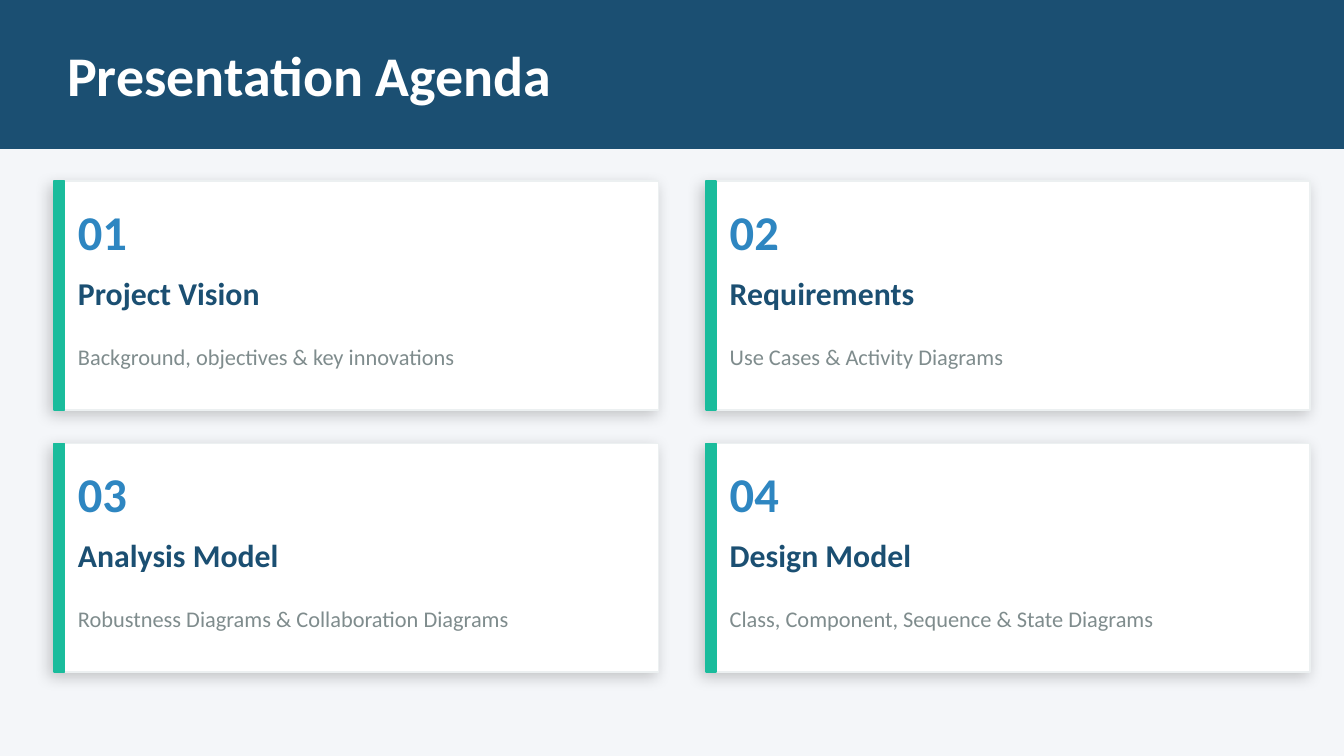
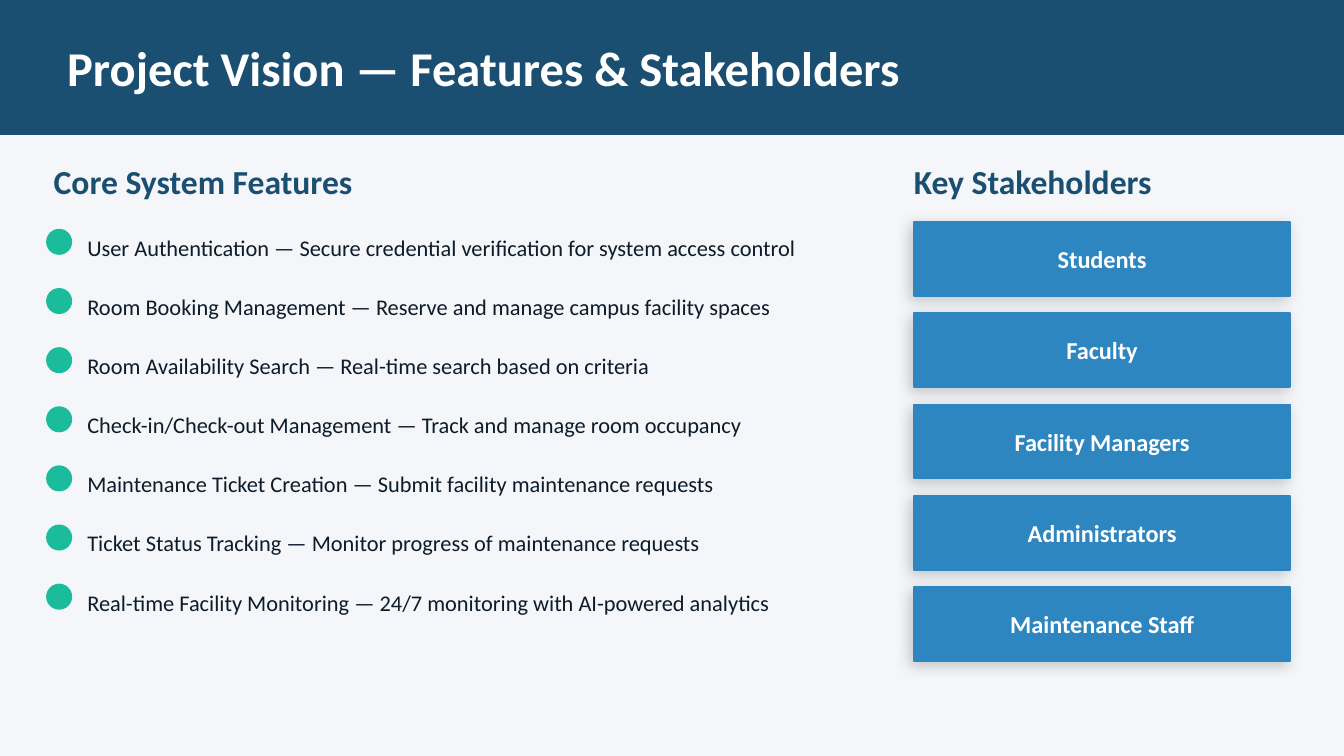
import dataclasses

import lxml.etree
import pptx
import pptx.dml.color
import pptx.enum.shapes
import pptx.enum.text
import pptx.oxml.ns
import pptx.util

SHAPE = pptx.enum.shapes.MSO_SHAPE
ALIGN = pptx.enum.text.PP_ALIGN
PX = 4572  # EMU per px, 200 px to the inch
WIDTH, HEIGHT = 2000, 1125


@dataclasses.dataclass(frozen=True)
class Theme:
    font: str = "Calibri"
    page: str = "F4F6F9"
    navy: str = "1B4F72"
    blue: str = "2E86C1"
    teal: str = "1ABC9C"
    white: str = "FFFFFF"
    edge: str = "ECF0F1"
    ink: str = "0D1B2A"
    grey: str = "7F8C8D"
    title_size: int = 30
    long_title_size: int = 26
    number_size: int = 26
    heading_size: int = 18
    topic_size: int = 17
    label_size: int = 13
    body_size: int = 12


THEME = Theme()

AGENDA = [
    ("Project Vision", "Background, objectives & key innovations"),
    ("Requirements", "Use Cases & Activity Diagrams"),
    ("Analysis Model", "Robustness Diagrams & Collaboration Diagrams"),
    ("Design Model", "Class, Component, Sequence & State Diagrams"),
]
FEATURES = [
    "User Authentication — Secure credential verification for system access control",
    "Room Booking Management — Reserve and manage campus facility spaces",
    "Room Availability Search — Real-time search based on criteria",
    "Check-in/Check-out Management — Track and manage room occupancy",
    "Maintenance Ticket Creation — Submit facility maintenance requests",
    "Ticket Status Tracking — Monitor progress of maintenance requests",
    "Real-time Facility Monitoring — 24/7 monitoring with AI-powered analytics",
]
STAKEHOLDERS = ["Students", "Faculty", "Facility Managers", "Administrators", "Maintenance Staff"]


def rgb(color):
    return pptx.dml.color.RGBColor.from_string(color)


def emu(*lengths):
    return [pptx.util.Emu(n * PX) for n in lengths]


def write(sp, text, size, color, bold=False, align=ALIGN.LEFT):
    """Fill a shape's text frame with one vertically centred paragraph."""
    tf = sp.text_frame
    tf.word_wrap = True
    tf.vertical_anchor = pptx.enum.text.MSO_ANCHOR.MIDDLE
    tf.margin_left = tf.margin_top = tf.margin_right = tf.margin_bottom = 0
    p = tf.paragraphs[0]
    p.alignment = align
    r = p.add_run()
    r.text = text
    r.font.name = THEME.font
    r.font.size = pptx.util.Pt(size)
    r.font.bold = bold
    r.font.color.rgb = rgb(color)


def add_text(s, box, text, **style):
    write(s.shapes.add_textbox(*emu(*box)), text, **style)


def add_block(s, box, fill, line=None, kind=SHAPE.RECTANGLE, shadow=False):
    sp = s.shapes.add_shape(kind, *emu(*box))
    sp.fill.solid()
    sp.fill.fore_color.rgb = rgb(fill)
    sp.line.color.rgb = rgb(line or fill)
    sp.line.width = pptx.util.Pt(1)
    sp.shadow.inherit = False
    if shadow:
        add_shadow(sp)
    return sp


def add_shadow(sp):
    """Soft black shadow falling to the lower left."""
    qn = pptx.oxml.ns.qn
    effects = sp._element.spPr.find(qn("a:effectLst"))
    outer = lxml.etree.SubElement(
        effects, qn("a:outerShdw"), blurRad=str(pptx.util.Pt(8)), dist=str(pptx.util.Pt(3)),
        dir=str(135 * 60000), algn="bl", rotWithShape="0")
    black = lxml.etree.SubElement(outer, qn("a:srgbClr"), val="000000")
    lxml.etree.SubElement(black, qn("a:alpha"), val="20000")


def add_slide(prs, title, band_height, title_size):
    """Blank slide with the page colour, the title band and its title."""
    s = prs.slides.add_slide(prs.slide_layouts[6])
    s.background.fill.solid()
    s.background.fill.fore_color.rgb = rgb(THEME.page)
    add_block(s, (0, 0, WIDTH, band_height), THEME.navy)
    add_text(s, (100, (band_height - 140) // 2, 1800, 140), title,
             size=title_size, color=THEME.white, bold=True)
    return s


def add_agenda_card(s, box, number, topic, detail):
    x, y, w, h = box
    add_block(s, box, THEME.white, line=THEME.edge, shadow=True)
    add_block(s, (x, y, 16, h), THEME.teal)
    left, text_width = x + 36, w - 100
    add_text(s, (left, y + 24, 140, 100), f"{number:02}",
             size=THEME.number_size, color=THEME.blue, bold=True)
    add_text(s, (left, y + 120, text_width, 90), topic,
             size=THEME.topic_size, color=THEME.navy, bold=True)
    add_text(s, (left, y + 220, text_width, 80), detail,
             size=THEME.body_size, color=THEME.grey)


def add_heading(s, box, text):
    add_text(s, box, text, size=THEME.heading_size, color=THEME.navy, bold=True)


def add_features(s, x, y, w, pitch=88):
    add_heading(s, (x, y, 1800, 80), "Core System Features")
    for i, feature in enumerate(FEATURES):
        top = y + 100 + i * pitch
        add_block(s, (x - 10, top + 12, 36, 36), THEME.teal, kind=SHAPE.OVAL)
        add_text(s, (x + 50, top, w - 50, 76), feature, size=THEME.body_size, color=THEME.ink)


def add_stakeholders(s, x, y, w, pitch=136):
    add_heading(s, (x, y, w + 40, 80), "Key Stakeholders")
    for i, stakeholder in enumerate(STAKEHOLDERS):
        box = (x, y + 100 + i * pitch, w, 110)
        add_block(s, box, THEME.blue, shadow=True)
        add_text(s, box, stakeholder, size=THEME.label_size, color=THEME.white,
                 bold=True, align=ALIGN.CENTER)


def agenda_slide(prs):
    s = add_slide(prs, "Presentation Agenda", 220, THEME.title_size)
    for i, (topic, detail) in enumerate(AGENDA):
        row, col = divmod(i, 2)
        add_agenda_card(s, (80 + col * 970, 270 + row * 390, 900, 340), i + 1, topic, detail)


def vision_slide(prs):
    s = add_slide(prs, "Project Vision — Features & Stakeholders", 200, THEME.long_title_size)
    add_features(s, 80, 230, 1190)
    add_stakeholders(s, 1360, 230, 560)


def main():
    prs = pptx.Presentation()
    prs.slide_width, prs.slide_height = emu(WIDTH, HEIGHT)
    agenda_slide(prs)
    vision_slide(prs)
    prs.save("out.pptx")


if __name__ == "__main__":
    main()
